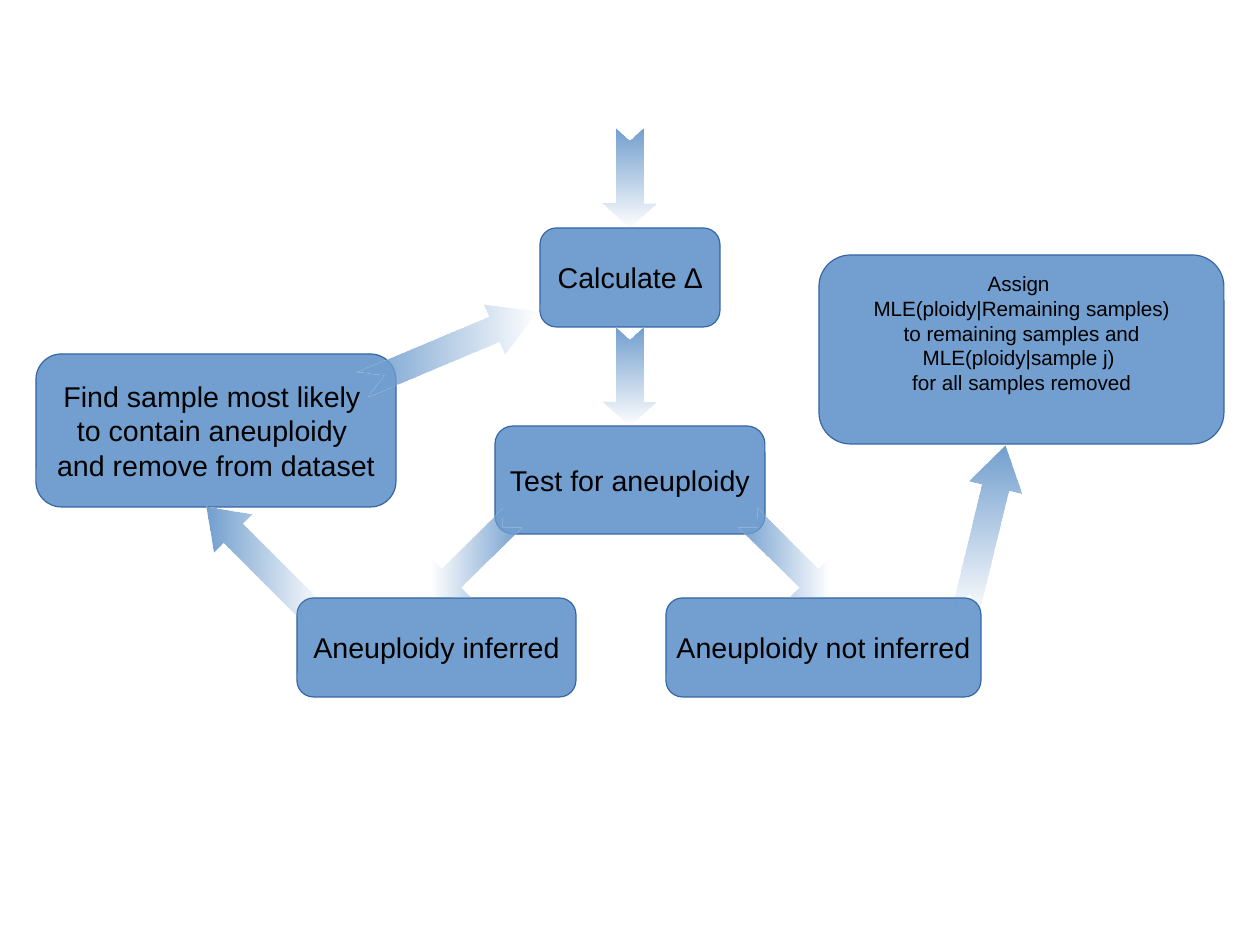
from dataclasses import dataclass
from math import hypot

from lxml.etree import SubElement
from pptx import Presentation
from pptx.dml.color import RGBColor
from pptx.enum.shapes import MSO_SHAPE
from pptx.enum.text import MSO_ANCHOR, PP_ALIGN
from pptx.oxml.ns import qn
from pptx.slide import Slide
from pptx.util import Pt

PIXEL = 8000
BLUE = RGBColor(0x72, 0x9F, 0xCF)
DARK_BLUE = RGBColor(0x34, 0x65, 0xA4)
BLACK = RGBColor(0, 0, 0)
SHAFT_HALF_WIDTH = 13.5
HEAD_HALF_WIDTH = 27
RIGHTWARD = 0
LEFTWARD = 180
DOWNWARD = 270


@dataclass(frozen=True)
class Step:
    left: int
    top: int
    width: int
    height: int
    lines: tuple[str, ...]
    font_size: int = 18
    bottom_inset: int = 6


@dataclass(frozen=True)
class Arrow:
    tail: tuple[int, int]
    tip: tuple[int, int]
    fade_angle: int


STEPS = (
    Step(495, 426, 270, 108, ("Test for aneuploidy",)),
    Step(297, 598, 279, 99, ("Aneuploidy inferred",)),
    Step(666, 598, 315, 99, ("Aneuploidy not inferred",)),
    Step(36, 354, 360, 153, (
        "Find sample most likely ",
        "to contain aneuploidy ",
        "and remove from dataset",
    )),
    Step(540, 228, 180, 99, ("Calculate ∆",)),
    Step(819, 255, 405, 189, (
        "Assign ",
        "MLE(ploidy|Remaining samples)",
        "to remaining samples and",
        "MLE(ploidy|sample j) ",
        "for all samples removed",
    ), font_size=13, bottom_inset=39),
)

ARROWS = (
    Arrow((630, 328), (630, 426), DOWNWARD),
    Arrow((748, 518), (828, 598), RIGHTWARD),
    Arrow((512, 518), (432, 598), LEFTWARD),
    Arrow((314, 614), (207, 507), RIGHTWARD),
    Arrow((363, 384), (538, 311), RIGHTWARD),
    Arrow((965, 614), (1005, 446), DOWNWARD),
    Arrow((630, 129), (630, 228), DOWNWARD),
)


def draw_step(slide: Slide, step: Step) -> None:
    shape = slide.shapes.add_shape(
        MSO_SHAPE.ROUNDED_RECTANGLE,
        step.left * PIXEL, step.top * PIXEL, step.width * PIXEL, step.height * PIXEL,
    )
    shape.shadow.inherit = False
    shape.fill.solid()
    shape.fill.fore_color.rgb = BLUE
    shape.line.color.rgb = DARK_BLUE
    shape.line.width = Pt(0)
    frame = shape.text_frame
    frame.word_wrap = False
    frame.vertical_anchor = MSO_ANCHOR.MIDDLE
    frame.margin_bottom = step.bottom_inset * PIXEL
    frame.text = "\n".join(step.lines)
    for paragraph in frame.paragraphs:
        paragraph.alignment = PP_ALIGN.CENTER
        paragraph.font.name = "Arial"
        paragraph.font.size = Pt(step.font_size)
        paragraph.font.color.rgb = BLACK


def arrow_outline(arrow: Arrow) -> list[tuple[float, float]]:
    (tail_x, tail_y), (tip_x, tip_y) = arrow.tail, arrow.tip
    run, rise = tip_x - tail_x, tip_y - tail_y
    length = hypot(run, rise)

    def place(along: float, across: float) -> tuple[float, float]:
        offset = across / length
        x = tail_x + along * run - offset * rise
        y = tail_y + along * rise + offset * run
        return x * PIXEL, y * PIXEL

    return [
        place(0, -SHAFT_HALF_WIDTH),
        place(0.75, -SHAFT_HALF_WIDTH),
        place(0.75, -HEAD_HALF_WIDTH),
        place(1, 0),
        place(0.75, HEAD_HALF_WIDTH),
        place(0.75, SHAFT_HALF_WIDTH),
        place(0, SHAFT_HALF_WIDTH),
        place(0.125, 0),
    ]


def draw_arrow(slide: Slide, arrow: Arrow) -> None:
    start, *corners = arrow_outline(arrow)
    builder = slide.shapes.build_freeform(*start, scale=1.0)
    builder.add_line_segments(corners, close=True)
    shape = builder.convert_to_shape()
    shape.shadow.inherit = False
    shape.line.fill.background()
    shape.fill.gradient()
    shape.fill.gradient_angle = arrow.fade_angle
    for stop in shape.fill.gradient_stops:
        stop.color.rgb = BLUE
    faded_color = shape._element.xpath(".//a:gs/a:srgbClr")[-1]
    SubElement(faded_color, qn("a:alpha"), val="0")


def main() -> None:
    presentation = Presentation()
    presentation.slide_width = 1260 * PIXEL
    presentation.slide_height = 945 * PIXEL
    slide = presentation.slides.add_slide(presentation.slide_layouts[6])
    for step in STEPS:
        draw_step(slide, step)
    for arrow in ARROWS:
        draw_arrow(slide, arrow)
    presentation.save("out.pptx")


main()
